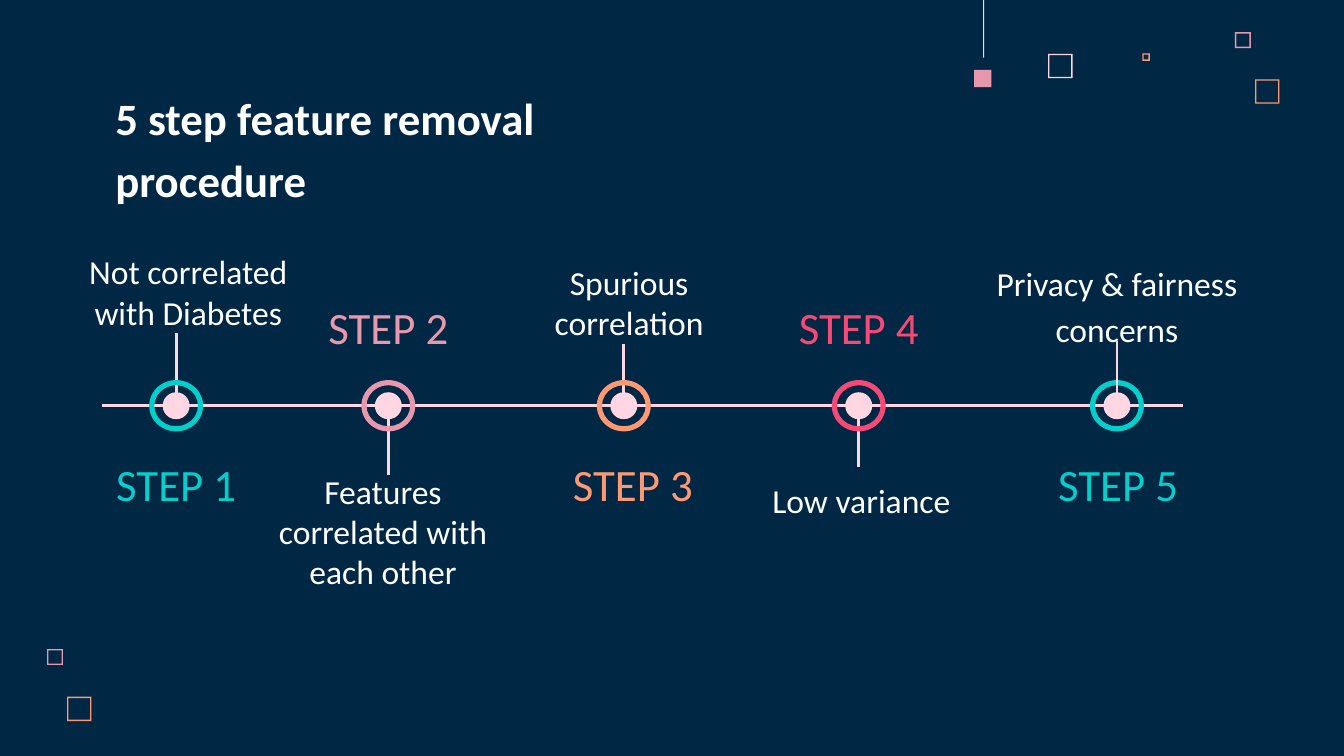
from typing import NamedTuple

from lxml.etree import SubElement
from pptx import Presentation
from pptx.dml.color import RGBColor
from pptx.enum.shapes import MSO_CONNECTOR, MSO_SHAPE
from pptx.enum.text import MSO_ANCHOR, PP_ALIGN
from pptx.oxml.ns import qn
from pptx.util import Cm, Pt

NAVY, WHITE, BLUSH = "002845", "FFFFFF", "FFD6E1"
TEAL, ROSE, ORANGE, RED = "00CFCC", "E898AC", "FF9973", "F64975"

AXIS_Y = 7.67
STEM_LENGTH = 1.18
DOT_SIZE = 0.51
RING_WIDTH, RING_HEIGHT = 1.02, 0.97
LABEL_WIDTH, BOX_HEIGHT = 3.51, 1.12
LABEL_ABOVE, LABEL_BELOW = 5.61, 8.59
FRAME_THICKNESS = 0.025


class Frame(NamedTuple):
    left: float
    top: float
    size: float
    color: str


class Step(NamedTuple):
    color: str
    x: float
    stem_top: float
    label_x: float
    label_top: float
    note: str
    note_x: float
    note_top: float
    note_width: float = 5.13
    note_spacing: float = 1.0


FRAMES = [
    Frame(19.81, 1.02, 0.46, BLUSH),
    Frame(23.34, 0.61, 0.3, ROSE),
    Frame(21.59, 1.01, 0.14, ORANGE),
    Frame(23.72, 1.5, 0.46, ORANGE),
    Frame(0.89, 12.27, 0.3, ROSE),
    Frame(1.27, 13.17, 0.46, ORANGE),
]

STEPS = [
    Step(TEAL, 3.33, 6.3, 3.33, LABEL_BELOW,
         "Not correlated with Diabetes", 3.56, 4.5),
    Step(ROSE, 7.34, 7.8, 7.34, LABEL_ABOVE,
         "Features correlated with each other", 7.24, 10.31),
    Step(ORANGE, 11.79, 6.5, 11.96, LABEL_BELOW,
         "Spurious correlation", 11.89, 4.7),
    Step(RED, 16.23, 7.64, 16.23, LABEL_ABOVE,
         "Low variance", 16.28, 8.97),
    Step(TEAL, 21.11, 6.45, 21.13, LABEL_BELOW,
         "Privacy & fairness concerns", 21.11, 4.6, 6.1, 1.15),
]


def rgb(color: str) -> RGBColor:
    return RGBColor.from_string(color)


def paint(shape, color: str) -> None:
    shape.shadow.inherit = False
    shape.fill.solid()
    shape.fill.fore_color.rgb = rgb(color)
    shape.line.fill.background()


def add_filled(shapes, preset: MSO_SHAPE, left: float, top: float,
               width: float, height: float, color: str):
    shape = shapes.add_shape(preset, Cm(left), Cm(top), Cm(width), Cm(height))
    paint(shape, color)
    return shape


def add_frame(shapes, frame: Frame) -> None:
    """Draw a hollow square as an outer contour with an inner cut-out."""
    left, top = frame.left, frame.top
    right, bottom = left + frame.size, top + frame.size
    t = FRAME_THICKNESS
    outer = [(left, top), (left, bottom), (right, bottom), (right, top)]
    inner = [(right - t, top + t), (right - t, bottom - t),
             (left + t, bottom - t), (left + t, top + t)]
    outer, inner = ([(Cm(x), Cm(y)) for x, y in contour]
                    for contour in (outer, inner))
    builder = shapes.build_freeform(*outer[0])
    builder.add_line_segments(outer[1:])
    builder.move_to(*inner[0])
    builder.add_line_segments(inner[1:])
    paint(builder.convert_to_shape(), frame.color)


def add_line(shapes, x1: float, y1: float, x2: float, y2: float) -> None:
    line = shapes.add_connector(MSO_CONNECTOR.STRAIGHT,
                                Cm(x1), Cm(y1), Cm(x2), Cm(y2))
    line.line.color.rgb = rgb(BLUSH)
    line.line.width = Pt(1.5)
    SubElement(line._element.spPr, qn("a:effectLst"))


def add_stem(shapes, step: Step) -> None:
    add_line(shapes, step.x, step.stem_top, step.x, step.stem_top + STEM_LENGTH)


def add_text(shapes, text: str, left: float, top: float, width: float,
             height: float, color: str, size: int, bold: bool = False,
             anchor: MSO_ANCHOR = MSO_ANCHOR.TOP, **paragraph_format) -> None:
    frame = shapes.add_textbox(Cm(left), Cm(top), Cm(width), Cm(height)).text_frame
    inset = Cm(0.25)
    frame_format = {"word_wrap": True, "vertical_anchor": anchor,
                    "margin_left": inset, "margin_right": inset,
                    "margin_top": inset, "margin_bottom": inset}
    paragraph = frame.paragraphs[0]
    run = paragraph.add_run()
    run.text = text
    run.font.color.rgb = rgb(color)
    font_format = {"name": "Calibri", "size": Pt(size), "bold": bold}
    for target, values in ((frame, frame_format),
                           (paragraph, paragraph_format),
                           (run.font, font_format)):
        for name, value in values.items():
            setattr(target, name, value)


def add_node(shapes, step: Step) -> None:
    add_filled(shapes, MSO_SHAPE.OVAL, step.x - DOT_SIZE / 2,
               AXIS_Y - DOT_SIZE / 2, DOT_SIZE, DOT_SIZE, BLUSH)
    ring = add_filled(shapes, MSO_SHAPE.DONUT, step.x - RING_WIDTH / 2,
                      AXIS_Y - RING_HEIGHT / 2, RING_WIDTH, RING_HEIGHT, step.color)
    ring.adjustments[0] = 0.1


def add_step_texts(shapes, number: int, step: Step) -> None:
    note_below = step.label_top == LABEL_ABOVE
    add_text(shapes, step.note, step.note_x - step.note_width / 2, step.note_top,
             step.note_width, BOX_HEIGHT, WHITE, 18,
             anchor=MSO_ANCHOR.BOTTOM if note_below else MSO_ANCHOR.TOP,
             alignment=PP_ALIGN.CENTER, line_spacing=step.note_spacing)
    add_text(shapes, f"STEP {number}", step.label_x - LABEL_WIDTH / 2,
             step.label_top, LABEL_WIDTH, BOX_HEIGHT, step.color, 24,
             anchor=MSO_ANCHOR.MIDDLE, alignment=PP_ALIGN.CENTER)


def main() -> None:
    presentation = Presentation()
    presentation.slide_width, presentation.slide_height = Cm(25.4), Cm(14.29)
    slide = presentation.slides.add_slide(presentation.slide_layouts[6])
    slide.background.fill.solid()
    slide.background.fill.fore_color.rgb = rgb(NAVY)
    shapes = slide.shapes

    for frame in FRAMES:
        add_frame(shapes, frame)
    add_filled(shapes, MSO_SHAPE.RECTANGLE, 18.41, 1.32, 0.33, 0.33, ROSE)
    add_filled(shapes, MSO_SHAPE.RECTANGLE, 18.58, 0, 0.02, 1.09, BLUSH)

    add_text(shapes, "5 step feature removal procedure", 1.93, 1.32, 12.09, 2.08,
             WHITE, 24, bold=True, line_spacing=1.15, space_before=Pt(8))

    *earlier_steps, last_step = STEPS
    for step in earlier_steps:
        add_stem(shapes, step)
    add_line(shapes, 1.93, AXIS_Y, 22.35, AXIS_Y)
    for number, step in enumerate(STEPS, start=1):
        add_node(shapes, step)
        add_step_texts(shapes, number, step)
    add_stem(shapes, last_step)

    presentation.save("out.pptx")


if __name__ == "__main__":
    main()
